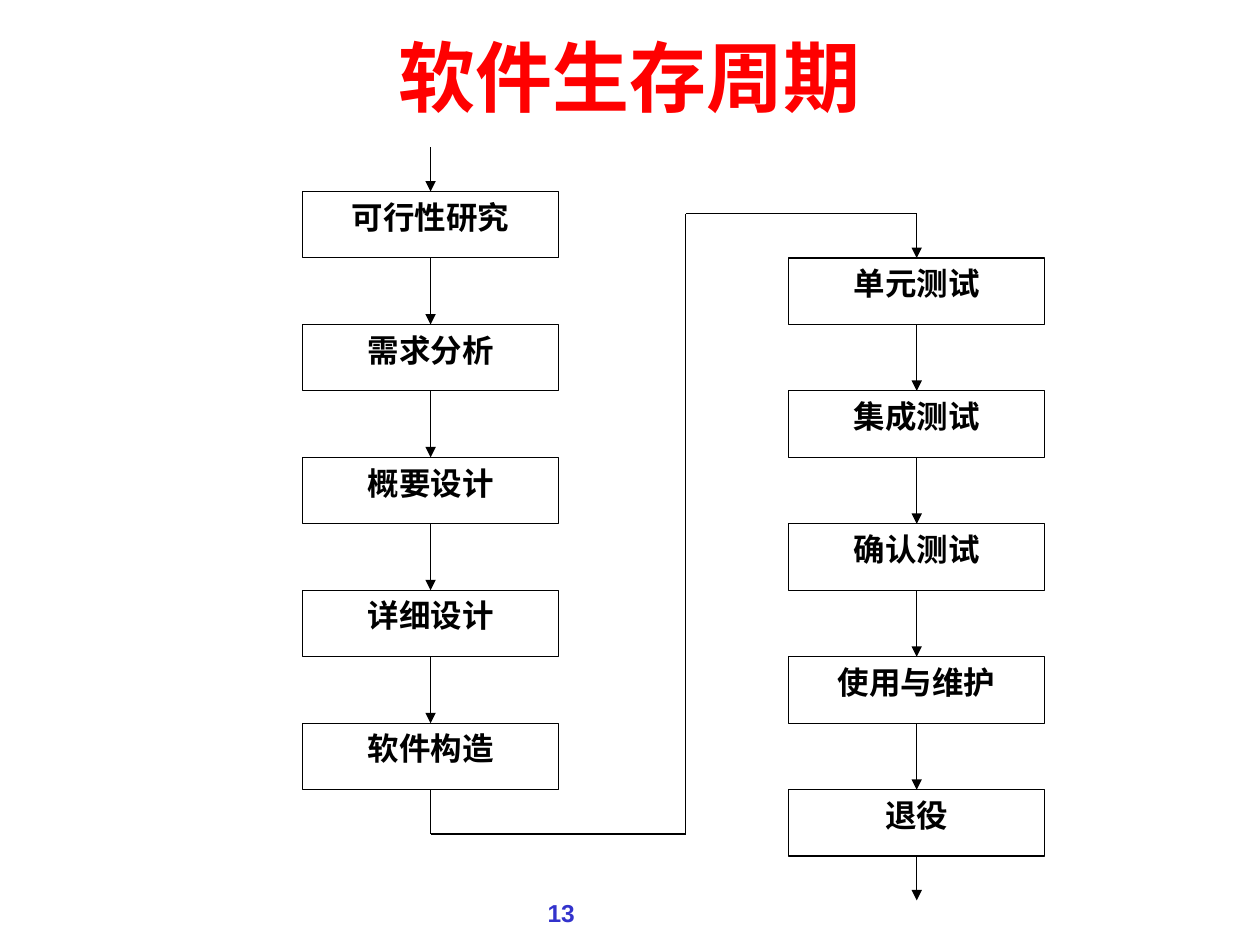
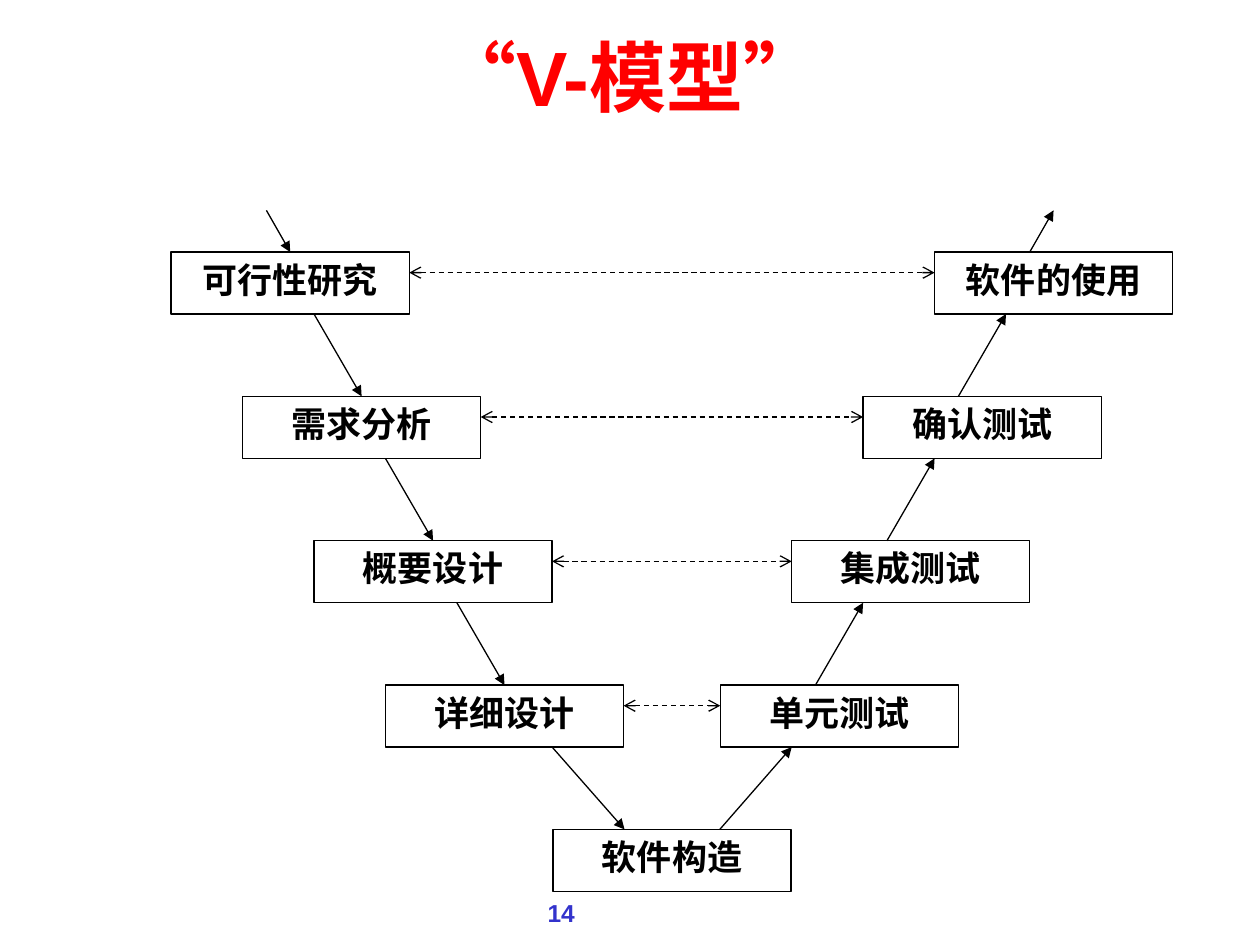
from dataclasses import dataclass

from lxml.etree import SubElement as Sub
from pptx import Presentation
from pptx.dml.color import RGBColor as Rgb
from pptx.enum.dml import MSO_LINE as Dash
from pptx.enum.shapes import MSO_CONNECTOR as Conn, MSO_SHAPE as Shape
from pptx.enum.text import MSO_ANCHOR as Anchor, MSO_AUTO_SIZE as Fit, PP_ALIGN as Align
from pptx.oxml.ns import qn
from pptx.util import Cm, Pt


@dataclass(frozen=True)
class Theme:
    latin: str = "Arial"
    han: str = "Noto Sans CJK SC"
    paper: Rgb = Rgb(255, 255, 255)
    ink: Rgb = Rgb(0, 0, 0)
    title: Rgb = Rgb(255, 0, 0)
    number: Rgb = Rgb(0x33, 0x33, 0xCC)
    head_size: int = 44
    page_size: int = 14
    flow_size: int = 18
    vee_size: int = 20
    stroke: float = 0.75


THEME = Theme()


def style(run, size, color, face):
    font = run.font
    font.size = Pt(size)
    font.bold = True
    font.name = face
    font.color.rgb = color
    Sub(run._r.get_or_add_rPr(), qn("a:ea")).set("typeface", THEME.han)


def place(shape, left, top, width, height):
    shape.left, shape.top = Cm(left), Cm(top)
    shape.width, shape.height = Cm(width), Cm(height)


def add_sheet(deck, title, number):
    slide = deck.slides.add_slide(deck.slide_layouts[5])
    head = slide.shapes.title
    place(head, 1.27, 0.43, 22.86, 2.21)
    frame = head.text_frame
    frame.auto_size = Fit.NONE
    frame.vertical_anchor = Anchor.MIDDLE
    para = frame.paragraphs[0]
    para.alignment = Align.CENTER
    for text, face in title:
        run = para.add_run()
        run.text = text
        style(run, THEME.head_size, THEME.title, face)

    page = slide.shapes.add_textbox(Cm(5.92), Cm(17.98), Cm(5.92), Cm(0.69))
    page.text_frame.word_wrap = True
    para = page.text_frame.paragraphs[0]
    para.text = str(number)
    para.alignment = Align.RIGHT
    style(para.runs[0], THEME.page_size, THEME.number, THEME.latin)
    return slide


def add_box(slide, text, left, top, width, height, size):
    box = slide.shapes.add_shape(
        Shape.RECTANGLE, Cm(left), Cm(top), Cm(width), Cm(height))
    box.shadow.inherit = False
    box.fill.solid()
    box.fill.fore_color.rgb = THEME.paper
    box.line.color.rgb = THEME.ink
    box.line.width = Pt(THEME.stroke)
    frame = box.text_frame
    frame.word_wrap = True
    frame.vertical_anchor = Anchor.TOP
    para = frame.paragraphs[0]
    para.text = text
    para.alignment = Align.CENTER
    style(para.runs[0], size, THEME.ink, THEME.han)


def add_line(slide, start, end, head=None, tail=None, dash=None):
    line = slide.shapes.add_connector(
        Conn.STRAIGHT, *(Cm(value) for value in (*start, *end)))
    line.line.color.rgb = THEME.ink
    line.line.width = Pt(THEME.stroke)
    if dash:
        line.line.dash_style = dash
    props = line._element.spPr
    for tag, kind in (("a:headEnd", head), ("a:tailEnd", tail)):
        if kind:
            Sub(props.find(qn("a:ln")), qn(tag)).set("type", kind)
    Sub(props, qn("a:effectLst"))


def add_arrow(slide, start, end):
    add_line(slide, start, end, tail="triangle")


def draw_flow(slide):
    width, height, pitch, stub = 5.16, 1.34, 2.68, 0.89
    plan = ["可行性研究", "需求分析", "概要设计", "详细设计", "软件构造"]
    test = ["单元测试", "集成测试", "确认测试", "使用与维护", "退役"]
    left, right = (6.1, 3.86), (15.9, 5.2)
    for (x, top), names in ((left, plan), (right, test)):
        mid = x + width / 2
        for row, name in enumerate(names):
            y = top + row * pitch
            gap = pitch - height if row else stub
            add_box(slide, name, x, y, width, height, THEME.flow_size)
            add_arrow(slide, (mid, y - gap), (mid, y))

    reach = 4 * pitch + height
    exit_x, exit_y = right[0] + width / 2, right[1] + reach
    add_arrow(slide, (exit_x, exit_y), (exit_x, exit_y + stub))

    turn, start = 13.82, left[0] + width / 2
    base, crest = left[1] + reach, right[1] - stub
    points = [(start, base), (start, base + stub), (turn, base + stub),
              (turn, crest), (exit_x, crest)]
    for here, there in zip(points, points[1:]):
        add_line(slide, here, there)


def draw_vee(slide):
    width, height, top, pitch, shift = 4.8, 1.25, 5.08, 2.91, 1.44
    left, right, base, rise = 3.45, 18.84, 11.15, 0.84
    pairs = [("可行性研究", "软件的使用"), ("需求分析", "确认测试"),
             ("概要设计", "集成测试"), ("详细设计", "单元测试")]

    def spot(x, y, part):
        return x + part * width, y

    for row, names in enumerate(pairs):
        y = top + row * pitch
        down, up = left + row * shift, right - row * shift
        for x, name in zip((down, up), names):
            add_box(slide, name, x, y, width, height, THEME.vee_size)
        level = y + height / 3
        add_line(slide, (down + width, level), (up, level),
                 "arrow", "arrow", Dash.DASH)
        if row:
            above = y - pitch + height
            add_arrow(slide, spot(down - shift, above, 0.6), spot(down, y, 0.5))
            add_arrow(slide, spot(up, y, 0.4), spot(up + shift, above, 0.3))

    add_arrow(slide, spot(left, top - rise, 0.4), spot(left, top, 0.5))
    add_arrow(slide, spot(right, top, 0.4), spot(right, top - rise, 0.5))

    foot, low = top + 4 * pitch, top + 3 * pitch + height
    add_box(slide, "软件构造", base, foot, width, height, THEME.vee_size)
    add_arrow(slide, spot(down, low, 0.7), spot(base, foot, 0.3))
    add_arrow(slide, spot(base, foot, 0.7), spot(up, low, 0.3))


def main():
    deck = Presentation()
    deck.slide_width, deck.slide_height = Cm(25.4), Cm(19.05)
    draw_flow(add_sheet(deck, [("软件生存周期", THEME.latin)], 13))
    model = [("“", THEME.han), ("V-模型", THEME.latin), ("”", THEME.han)]
    draw_vee(add_sheet(deck, model, 14))
    deck.save("out.pptx")


if __name__ == "__main__":
    main()
